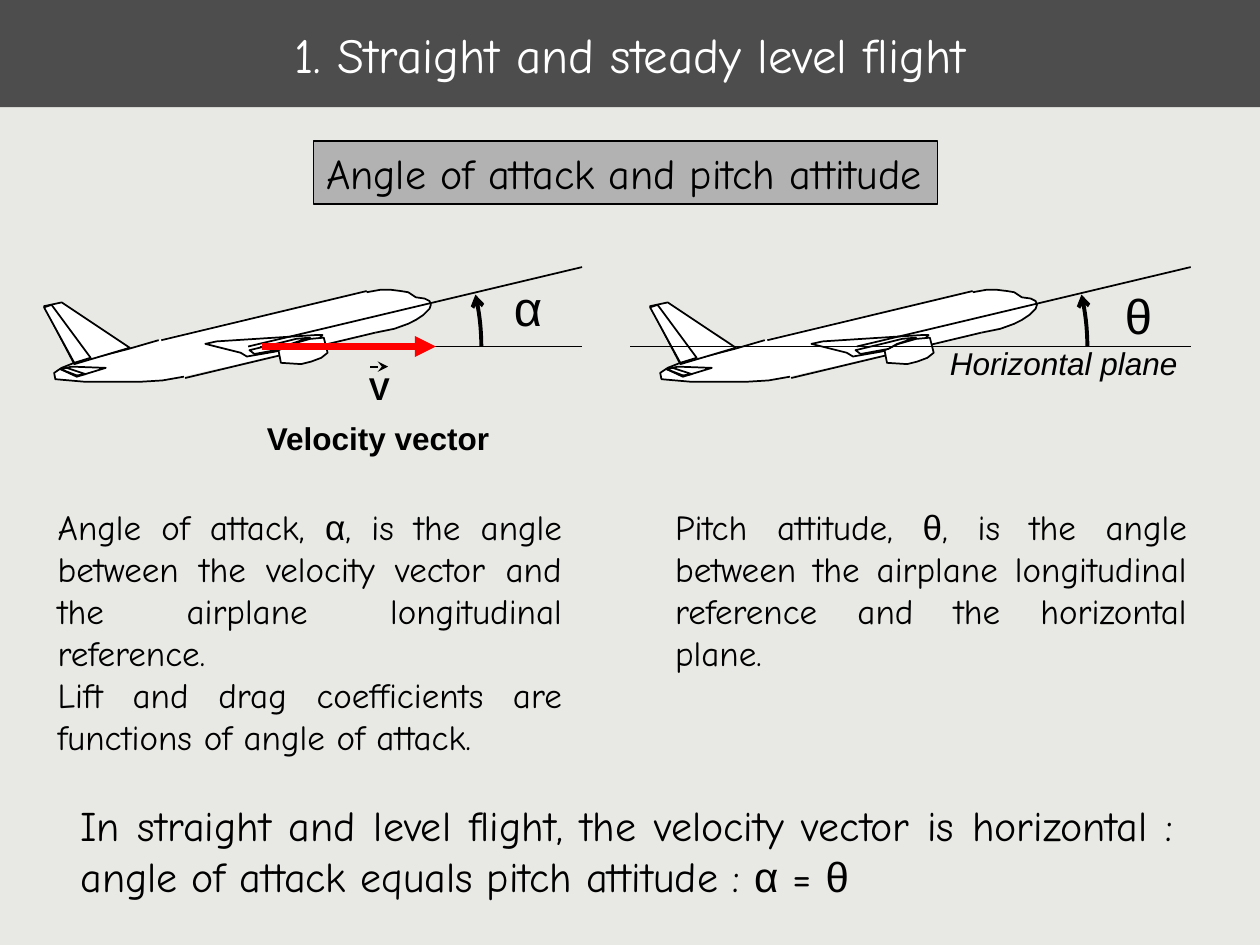
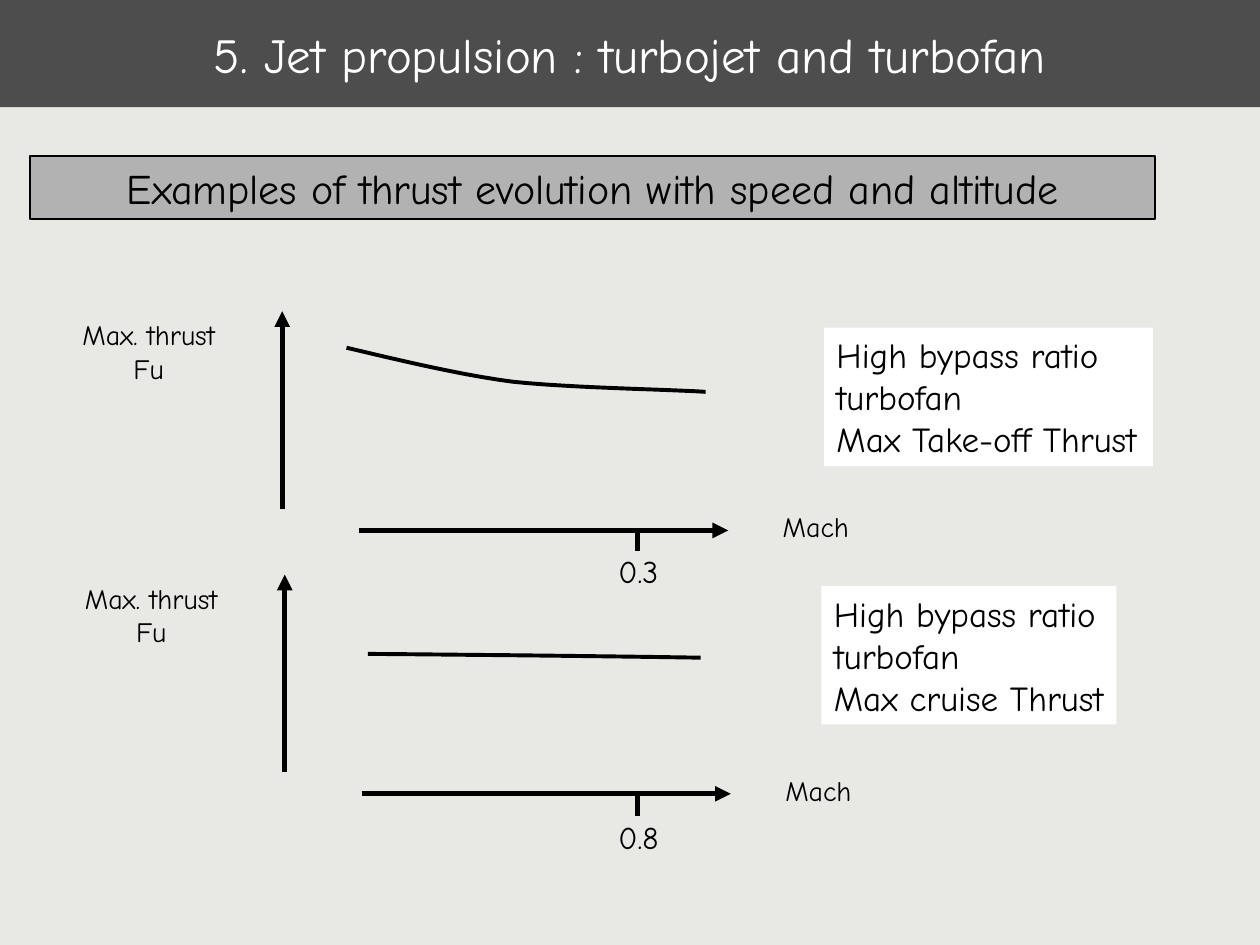
import itertools
import math

import lxml.etree
import pptx
import pptx.dml.color
import pptx.enum.shapes
import pptx.enum.text
import pptx.oxml.ns
import pptx.util

Inches = pptx.util.Inches
colour = pptx.dml.color.RGBColor.from_string
ALIGNMENTS = pptx.enum.text.PP_ALIGN
BLACK, WHITE, GREY = "000000", "FFFFFF", "B2B2B2"


def write(slide, text, box, size=20, font="Comic Neue", ink=BLACK, fill=None, border=None,
          align=ALIGNMENTS.LEFT, middle=False, wrap=False, grow=True, bold=False, italic=False):
    place = [Inches(length) for length in box]
    if fill:
        label = slide.shapes.add_shape(pptx.enum.shapes.MSO_SHAPE.RECTANGLE, *place)
        label.shadow.inherit = False
        label.fill.solid()
        label.fill.fore_color.rgb = colour(fill)
        if border:
            label.line.color.rgb = colour(BLACK)
            label.line.width = pptx.util.Pt(border)
        else:
            label.line.fill.background()
    else:
        label = slide.shapes.add_textbox(*place)
    frame = label.text_frame
    frame.word_wrap = wrap
    anchors, sizing = pptx.enum.text.MSO_ANCHOR, pptx.enum.text.MSO_AUTO_SIZE
    frame.vertical_anchor = anchors.MIDDLE if middle else anchors.TOP
    frame.auto_size = sizing.SHAPE_TO_FIT_TEXT if grow else sizing.NONE
    for index, sentence in enumerate(text.split("\n")):
        paragraph = frame.add_paragraph() if index else frame.paragraphs[0]
        paragraph.alignment = align
        for greek, letters in itertools.groupby(sentence, lambda letter: letter in "αθ"):
            run = paragraph.add_run()
            run.text = "".join(letters)
            run.font.name = "Arial" if greek else font
            run.font.size = pptx.util.Pt(size)
            run.font.bold = bold
            run.font.italic = italic
            run.font.color.rgb = colour(ink)


def draw(slide, points, width=1, ink=BLACK, fill=None, tip=None, closed=False):
    corners = [(Inches(x), Inches(y)) for x, y in points]
    if len(corners) == 2:
        stroke = slide.shapes.add_connector(
            pptx.enum.shapes.MSO_CONNECTOR.STRAIGHT, *corners[0], *corners[1])
    else:
        builder = slide.shapes.build_freeform(*corners[0], scale=1.0)
        builder.add_line_segments(corners[1:], close=closed)
        stroke = builder.convert_to_shape()
        if fill:
            stroke.fill.solid()
            stroke.fill.fore_color.rgb = colour(fill)
        else:
            stroke.fill.background()
    if width:
        stroke.line.color.rgb = colour(ink)
        stroke.line.width = pptx.util.Pt(width)
    else:
        stroke.line.fill.background()
    properties = stroke.element.spPr
    if tip:
        outline = properties.find(pptx.oxml.ns.qn("a:ln"))
        lxml.etree.SubElement(outline, pptx.oxml.ns.qn("a:tailEnd"), type=tip)
    lxml.etree.SubElement(properties, pptx.oxml.ns.qn("a:effectLst"))


deck = pptx.Presentation()
deck.slide_width, deck.slide_height = Inches(10), Inches(7.5)
deck.slide_master.background.fill.solid()
deck.slide_master.background.fill.fore_color.rgb = colour("E8E8E4")

titles = ["1. Straight and steady level flight", "5. Jet propulsion : turbojet and turbofan"]
for title in titles:
    page = deck.slides.add_slide(deck.slide_layouts[6])
    write(page, title, (0, 0, 10, 0.85), size=28, ink=WHITE, fill="4D4D4D",
          align=ALIGNMENTS.CENTER, middle=True, wrap=True, grow=False)
attitude, thrust = deck.slides

write(attitude, "Angle of attack and pitch attitude", (2.49, 1.12, 4.95, 0.5),
      size=24, fill=GREY, border=0.75)

fuselage = [(1.28, 2.69), (1.95, 2.53), (2.55, 2.4), (2.84, 2.33), (2.94, 2.31), (3.01, 2.63),
            (2.54, 2.74), (2.01, 2.86), (1.81, 2.91), (1.66, 2.94), (1.49, 2.98), (1.4, 3),
            (1.2, 2.92), (1.18, 2.77)]
top_edge = [(2.91, 2.31), (1.28, 2.7)]
nose = [(2.91, 2.32), (3.02, 2.3), (3.1, 2.3), (3.18, 2.31), (3.24, 2.32), (3.3, 2.36),
        (3.37, 2.37), (3.41, 2.39), (3.42, 2.42), (3.41, 2.45), (3.36, 2.5), (3.3, 2.54),
        (3.24, 2.57), (3.13, 2.61), (2.98, 2.64)]
tail_cone = [(1.26, 2.7), (1.02, 2.77), (0.59, 2.88), (0.49, 2.92), (0.43, 2.96), (0.44, 3.01),
             (0.67, 3.03), (0.92, 3.03), (1.12, 3.03), (1.29, 3.02), (1.46, 2.99)]
belly_edge = [(2.98, 2.64), (1.47, 3)]
fin = [(1.03, 2.76), (0.49, 2.4), (0.35, 2.43), (0.59, 2.89)]
rudder = [(0.72, 2.84), (0.41, 2.42), (0.35, 2.44), (0.59, 2.88)]
wing = [(1.63, 2.73), (1.72, 2.71), (2.5, 2.66), (2.56, 2.66), (2.53, 2.69), (2.4, 2.73),
        (2.19, 2.79), (1.96, 2.83), (1.91, 2.8)]
engine = [(2.57, 2.68), (2.6, 2.8), (2.55, 2.84), (2.47, 2.87), (2.39, 2.89), (2.23, 2.88),
          (2.21, 2.78), (2.32, 2.73), (2.46, 2.69)]
flap = [(2.46, 2.68), (2.35, 2.69), (2.23, 2.72), (1.98, 2.78), (2.02, 2.81), (2.24, 2.77),
        (2.31, 2.73)]
stabilizer = [(0.84, 2.92), (0.57, 2.91), (0.48, 2.93), (0.61, 2.99)]
elevator = [(0.68, 2.97), (0.53, 2.92), (0.48, 2.93), (0.61, 2.98)]
airplane = [(fuselage, True, 0), (top_edge, False, 1), (nose, False, 1), (tail_cone, False, 1),
            (belly_edge, False, 1), (fin, True, 1), (rudder, True, 1), (wing, True, 1),
            (engine, True, 1), (flap, True, 1), (stabilizer, True, 1), (elevator, True, 1)]

HORIZON, ARC_RADIUS = 2.75, 1.83
for shift, horizon_start, axis_start, axis_end in [(0, 2.06, 1.97, 4.62), (4.81, 5, 6.8, 9.45)]:
    for part, closed, width in airplane:
        draw(attitude, [(x + shift, y) for x, y in part], width, fill=WHITE, closed=closed)
    draw(attitude, [(horizon_start, HORIZON), (axis_end, HORIZON)])
    draw(attitude, [(axis_start, HORIZON), (axis_end, 2.12)])
    angles = [math.radians(13 * step / 8) for step in range(9)]
    arc = [(1.99 + shift + ARC_RADIUS * math.cos(angle), HORIZON - ARC_RADIUS * math.sin(angle))
           for angle in angles]
    draw(attitude, arc, 2.25, tip="arrow")
draw(attitude, [(2.08, HORIZON), (3.46, HORIZON)], 4, ink="FF0000", tip="triangle")
draw(attitude, [(2.94, 2.91), (3.08, 2.91)], tip="stealth")

write(attitude, "V", (2.83, 2.88, 0.37, 0.4), size=18, font="Arial", bold=True)
write(attitude, "Velocity vector", (2.02, 3.28, 1.98, 0.4), size=18, font="Arial", bold=True)
write(attitude, "Horizontal plane", (7.44, 2.68, 2.01, 0.4), size=18, font="Arial", italic=True)
write(attitude, "α", (3.98, 2.15, 0.44, 0.57), size=28)
write(attitude, "θ", (8.83, 2.22, 0.4, 0.57), size=28)

explanations = [
    ("Angle of attack, α, is the angle between the velocity vector and the airplane "
     "longitudinal reference.\nLift and drag coefficients are functions of angle of attack.",
     (0.36, 3.96, 4.2, 2.1), 20),
    ("Pitch attitude, θ, is the angle between the airplane longitudinal reference and the "
     "horizontal plane.", (5.26, 3.96, 4.26, 1.43), 20),
    ("In straight and level flight, the velocity vector is horizontal : angle of attack equals "
     "pitch attitude : α = θ", (0.54, 6.3, 8.87, 0.9), 24),
]
for explanation, box, size in explanations:
    write(attitude, explanation, box, size, align=ALIGNMENTS.JUSTIFY, wrap=True)

write(thrust, "Examples of thrust evolution with speed and altitude", (0.24, 1.24, 8.93, 0.5),
      size=24, fill=GREY, border=1, align=ALIGNMENTS.CENTER, middle=True, wrap=True)

takeoff_curve = [[(2.75, 2.76), (2.97, 2.81), (3.6, 2.97), (4.07, 3.03)],
                 [(4.07, 3.03), (4.55, 3.08), (5.28, 3.09), (5.6, 3.11)]]
cruise_curve = [[(2.92, 5.19), (2.92, 5.19), (4.24, 5.2), (5.56, 5.22)]]
regimes = [
    (0, 0, takeoff_curve, "Max Take-off Thrust", (6.54, 2.6, 2.61, 1.1), "0.3", 4.21),
    (0.02, 2.09, cruise_curve, "Max cruise Thrust", (6.52, 4.65, 2.34, 1.1), "0.8", 6.32),
]
for dx, dy, curve, rating, rating_box, mach, tick_top in regimes:
    draw(thrust, [(2.85 + dx, 4.21 + dy), (5.78 + dx, 4.21 + dy)], 3, tip="triangle")
    draw(thrust, [(2.24 + dx, 4.04 + dy), (2.24 + dx, 2.47 + dy)], 3, tip="triangle")
    for axis_name, left, top, width, height in [("Max. thrust\nFu", 0.27, 2.41, 1.82, 0.76),
                                                ("Mach", 5.9, 3.96, 1.15, 0.44)]:
        write(thrust, axis_name, (left + dx, top + dy, width, height), size=16,
              align=ALIGNMENTS.CENTER, middle=True, wrap=True, grow=False)
    write(thrust, "High bypass ratio\nturbofan\n" + rating, rating_box, fill=WHITE)
    trace = [curve[0][0]]
    for bend in curve:
        for t in [step / 12 for step in range(1, 13)]:
            weights = [(1 - t) ** 3, 3 * t * (1 - t) ** 2, 3 * t ** 2 * (1 - t), t ** 3]
            trace.append([sum(weight * value for weight, value in zip(weights, values))
                          for values in zip(*bend)])
    draw(thrust, trace, 2.25)
    draw(thrust, [(5.06, tick_top), (5.06, tick_top + 0.16)], 3)
    write(thrust, mach, (4.81, tick_top + 0.12, 0.6, 0.4), size=18, wrap=True, grow=False)

deck.save("out.pptx")
